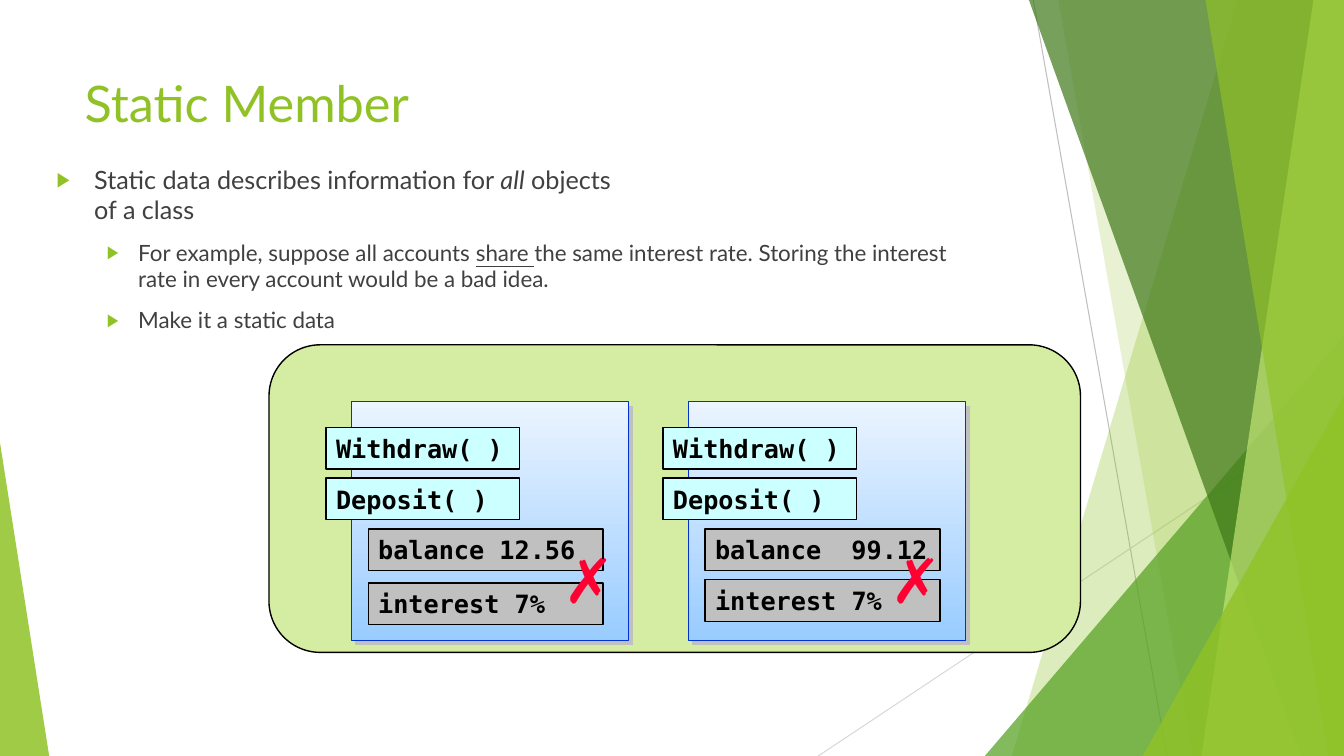
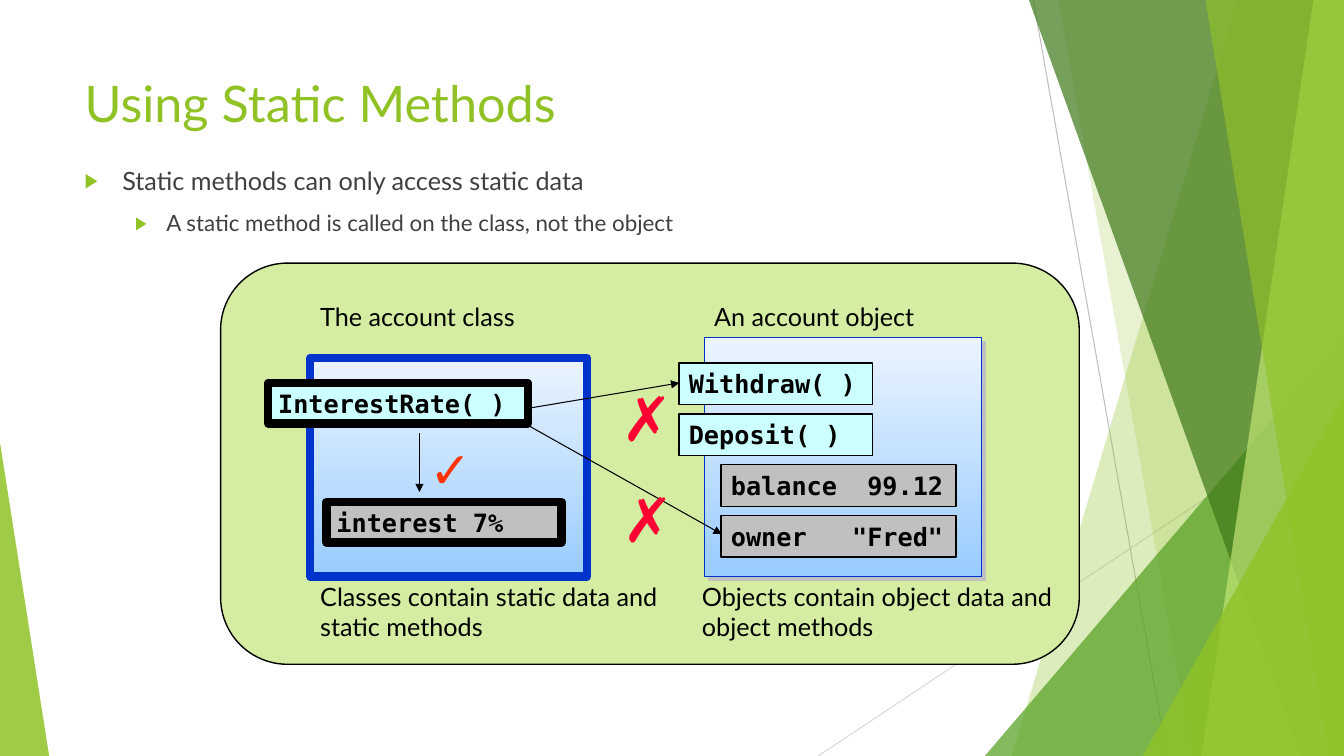
"""Build two slides on static members and static methods of an account class."""
from pptx import Presentation, oxml, util as u
from pptx.dml.color import RGBColor
from pptx.enum import shapes, text
from pptx.oxml import ns

COLOURS = {
    "green": "90C226", "leaf": "54A021", "forest": "3F7819", "lime": "C0E474",
    "panel": "D5EDA2", "body": "404040", "black": "000000", "method": "CCFFFF",
    "field": "C0C0C0", "card_top": "EBF4FF", "card_bottom": "99CCFF",
    "card_line": "0033CC", "cross": "FF0033", "check": "FF3300",
    "ray": "BFBFBF", "pale_ray": "D9D9D9",
}
BODY_FONT, CODE_FONT, MARK_FONT = "Lato", "DejaVu Sans Mono", "Arial"
WIDTH, HEIGHT = 33.87, 19.05

RAYS = [("ray", (26.04, 0), (29.41, HEIGHT)),
        ("pale_ray", (WIDTH, 10.24), (20.62, HEIGHT))]
FACETS = [
    ("band", "green", 30, (31.19, 25.5)),
    ("band", "green", 20, (26.67, 30.05)),
    ("triangle", "leaf", 72, (24.82, 8.46, 9.05, 1)),
    ("band", "forest", 70, (25.93, 32.79)),
    ("band", "lime", 70, (33.1, 30.28)),
    ("band", "green", 65, (30.38, 33.48)),
    ("triangle", "green", 80, (28.8, 9.98, 5.07, 1)),
    ("triangle", "green", 85, (0, 11.15, 1.24, 0)),
]
LEVELS = [(18, 0.95, 0.95), (16, 2.06, 0.79)]

METHODS = ["Withdraw( )", "Deposit( )"]
SLIDES = [
    {
        "title": "Static Member",
        "body_box": (1.17, 4.01, 23.88, 10.77),
        "body": [
            (0, [("Static data describes information for ", None), ("all", "italic"),
                 (" objects ", None), ("\v", None), ("of a class", None)]),
            (1, [("For example, suppose all accounts ", None), ("share ", "underline"),
                 ("the same interest rate. Storing the interest rate in every "
                  "account would be a bad idea.", None)]),
            (1, [("Make it a static data", None)]),
        ],
        "panel": (6.78, 8.69, 20.45, 7.75),
        "objects": [(8.86, 10.13, ["balance 12.56", "interest 7%"], 0.08),
                    (17.35, 10.13, ["balance\t99.12", "interest 7%"], 0)],
        "marks": [("✗", 13.94, 13.54), ("✗", 22.2, 13.54)],
    },
    {
        "title": "Using Static Methods",
        "body_box": (1.88, 4.04, 23.88, 12.75),
        "body": [
            (0, [("Static methods can only access static data", None)]),
            (1, [("A static method is called on the class, not the object", None)]),
        ],
        "panel": (5.56, 6.63, 21.64, 10.11),
        "class_card": (7.82, 9.02, 6.98, 5.51),
        "class_members": [("InterestRate( )", "method", (6.76, 9.65, 6.55, 1.02)),
                          ("interest 7%", "field", (8.23, 12.65, 5.92, 1.02))],
        "objects": [(17.75, 8.51, ["balance\t99.12", "owner\t\"Fred\""], 0)],
        "labels": [
            (["An account object"], (17.75, 7.47, 5.77, 1.02)),
            (["The account class"], (7.82, 7.47, 5.61, 1.02)),
            (["Classes contain static data and", "static methods"],
             (7.82, 14.53, 9.58, 1.8)),
            (["Objects contain object data and", "object methods"],
             (17.44, 14.53, 10, 1.8)),
        ],
        "arrows": [((10.57, 10.92), (10.57, 12.4)),
                   ((13.31, 10.29), (17.12, 9.65)),
                   ((13.31, 10.72), (18.19, 13.46))],
        "marks": [("✗", 15.44, 11.99), ("✗", 15.42, 9.45), ("✓", 10.57, 10.92)],
    },
]
MARKS = {"✗": (44, "cross"), "✓": (36, "check")}

CARD_SIZE = (6.98, 6.02)
MEMBER_HEIGHT, MEMBER_TOP, MEMBER_PITCH = 1.05, 0.64, 1.28
METHOD_OFFSET, METHOD_WIDTH = -0.64, 4.88
FIELD_OFFSET, FIELD_WIDTH = 0.42, 5.92


def rgb(name):
    return RGBColor.from_string(COLOURS[name])


def lengths(values):
    return [u.Cm(value) for value in values]


def add_xml(parent, markup):
    """Append DrawingML markup, given without its namespace, to an element."""
    tag, rest = markup[1:].split(" ", 1)
    element = oxml.parse_xml(f"<{tag} {ns.nsdecls('a')} {rest}")
    parent.append(element)
    return element


def add_line(container, start, end, colour, arrow=False):
    line = container.add_connector(shapes.MSO_CONNECTOR.STRAIGHT,
                                   *lengths(start + end))
    line.line.color.rgb = rgb(colour)
    line.line.width = u.Pt(0.75)
    properties = line.element.spPr
    if arrow:
        add_xml(properties.find(ns.qn("a:ln")), '<a:tailEnd type="triangle"/>')
    add_xml(properties, "<a:effectLst />")


def add_facet(container, kind, colour, opacity, geometry):
    if kind == "band":
        top_left, bottom_left = geometry
        builder = container.build_freeform(u.Cm(top_left), 0)
        corners = [(WIDTH, 0), (WIDTH, HEIGHT), (bottom_left, HEIGHT)]
        builder.add_line_segments([lengths(corner) for corner in corners])
        shape = builder.convert_to_shape()
    else:
        left, top, width, apex = geometry
        shape = container.add_shape(shapes.MSO_SHAPE.ISOSCELES_TRIANGLE,
                                    *lengths((left, top, width, HEIGHT - top)))
        shape.adjustments[0] = apex
    shape.shadow.inherit = False
    shape.fill.solid()
    shape.fill.fore_color.rgb = rgb(colour)
    shape.line.fill.background()
    add_xml(shape.element.spPr.find(".//" + ns.qn("a:srgbClr")),
            f'<a:alpha val="{opacity * 1000}"/>')


def style_master(master):
    """Set the title and list styles that both slides inherit."""
    def text_format(size, colour):
        return (f'<a:defRPr sz="{size * 100}"><a:solidFill><a:srgbClr '
                f'val="{COLOURS[colour]}"/></a:solidFill>'
                f'<a:latin typeface="{BODY_FONT}"/></a:defRPr>')

    def replace_level(style, number, attributes, content):
        old = master.element.find(f".//{ns.qn(style)}/{ns.qn(f'a:lvl{number}pPr')}")
        new = add_xml(old.getparent(), f"<a:lvl{number}pPr {attributes}>{content}"
                                       f"</a:lvl{number}pPr>")
        old.getparent().replace(old, new)

    replace_level("p:titleStyle", 1, 'algn="l"',
                  "<a:buNone/>" + text_format(36, "green"))
    for number, (size, margin, hanging) in enumerate(LEVELS, 1):
        replace_level(
            "p:bodyStyle", number,
            f'marL="{u.Cm(margin)}" indent="{-u.Cm(hanging)}" algn="l"',
            '<a:spcBef><a:spcPts val="1000"/></a:spcBef>'
            f'<a:buClr><a:srgbClr val="{COLOURS["green"]}"/></a:buClr>'
            '<a:buSzPct val="80000"/><a:buFont typeface="Arial"/>'
            '<a:buChar char="▶"/>' + text_format(size, "body"))


def add_backdrop(slide, master):
    """Draw the rays and facets once and hand them to the master."""
    group = slide.shapes.add_group_shape()
    for colour, start, end in RAYS:
        add_line(group.shapes, start, end, colour)
    for facet in FACETS:
        add_facet(group.shapes, *facet)
    master.shapes.element.insert(2, group.element)
    for number, element in enumerate(master.element.iter(ns.qn("p:cNvPr")), 1):
        element.set("id", str(number))


def place(placeholder, box):
    placeholder.left, placeholder.top, placeholder.width, placeholder.height = lengths(box)
    frame = placeholder.text_frame
    frame.vertical_anchor = text.MSO_ANCHOR.TOP
    frame.auto_size = text.MSO_AUTO_SIZE.NONE
    return frame


def fill_body(frame, items):
    for index, (level, pieces) in enumerate(items):
        paragraph = frame.add_paragraph() if index else frame.paragraphs[0]
        paragraph.level = level
        for words, emphasis in pieces:
            if words == "\v":
                paragraph.add_line_break()
                continue
            run = paragraph.add_run()
            run.text = words
            if emphasis:
                setattr(run.font, emphasis, True)


def write(frame, lines, font, size, colour, bold=False):
    frame.word_wrap = True
    for index, line in enumerate(lines):
        paragraph = frame.add_paragraph() if index else frame.paragraphs[0]
        paragraph.text = line
        paragraph.alignment = text.PP_ALIGN.LEFT
        if "\t" in line:
            add_xml(paragraph._p.get_or_add_pPr(),
                    f'<a:tabLst ><a:tab pos="{u.Cm(5.35)}" algn="r"/></a:tabLst>')
        paragraph.font.name = font
        paragraph.font.size = u.Pt(size)
        paragraph.font.bold = bold
        paragraph.font.color.rgb = rgb(colour)


def add_box(slide, box, fill, border=1, line="black",
            kind=shapes.MSO_SHAPE.RECTANGLE):
    shape = slide.shapes.add_shape(kind, *lengths(box))
    shape.shadow.inherit = False
    if fill:
        shape.fill.solid()
        shape.fill.fore_color.rgb = rgb(fill)
    shape.line.color.rgb = rgb(line)
    shape.line.width = u.Pt(border)
    return shape


def add_card(slide, box, border=0.75, shadow=True):
    card = add_box(slide, box, None, border, "card_line")
    card.fill.gradient()
    card.fill.gradient_angle = 270
    for stop, colour in zip(card.fill.gradient_stops, ("card_top", "card_bottom")):
        stop.color.rgb = rgb(colour)
    if shadow:
        add_xml(card.element.spPr.find(ns.qn("a:effectLst")),
                f'<a:outerShdw dist="{u.Pt(4.2)}" dir="2700000" algn="ctr" '
                f'rotWithShape="0"><a:srgbClr val="{COLOURS["field"]}"/>'
                '</a:outerShdw>')


def add_member(slide, name, fill, box, border=1):
    member = add_box(slide, box, fill, border)
    member.text_frame.vertical_anchor = text.MSO_ANCHOR.MIDDLE
    write(member.text_frame, [name], CODE_FONT, 18, "black", True)


def add_object(slide, left, top, fields, last_shift):
    """Draw an object card with its methods and fields at an even pitch."""
    add_card(slide, (left, top, *CARD_SIZE))
    members = [(name, "method", METHOD_OFFSET, METHOD_WIDTH) for name in METHODS]
    members += [(name, "field", FIELD_OFFSET, FIELD_WIDTH) for name in fields]
    for row, (name, fill, offset, width) in enumerate(members):
        shift = last_shift if row == len(members) - 1 else 0
        y = top + MEMBER_TOP + row * MEMBER_PITCH + shift
        add_member(slide, name, fill, (left + offset, y, width, MEMBER_HEIGHT))


def build_slide(slide, content):
    place(slide.shapes.title, (1.88, 1.7, 23.88, 3.66)).text = content["title"]
    fill_body(place(slide.placeholders[1], content["body_box"]), content["body"])
    add_box(slide, content["panel"], "panel",
            kind=shapes.MSO_SHAPE.ROUNDED_RECTANGLE)
    if "class_card" in content:
        add_card(slide, content["class_card"], 6, False)
    for name, fill, box in content.get("class_members", []):
        add_member(slide, name, fill, box, 6)
    for item in content["objects"]:
        add_object(slide, *item)
    for lines, box in content.get("labels", []):
        label = slide.shapes.add_textbox(*lengths(box))
        write(label.text_frame, lines, BODY_FONT, 18, "black")
    for start, end in content.get("arrows", []):
        add_line(slide.shapes, start, end, "black", True)
    for sign, left, top in content["marks"]:
        size, colour = MARKS[sign]
        mark = slide.shapes.add_textbox(*lengths((left, top, 1.52, 2.13)))
        write(mark.text_frame, [sign], MARK_FONT, size, colour)


def main():
    presentation = Presentation()
    presentation.slide_width, presentation.slide_height = lengths((WIDTH, HEIGHT))
    master = presentation.slide_master
    style_master(master)
    for index, content in enumerate(SLIDES):
        slide = presentation.slides.add_slide(presentation.slide_layouts[1])
        if index == 0:
            add_backdrop(slide, master)
        build_slide(slide, content)
    presentation.save("out.pptx")


if __name__ == "__main__":
    main()
